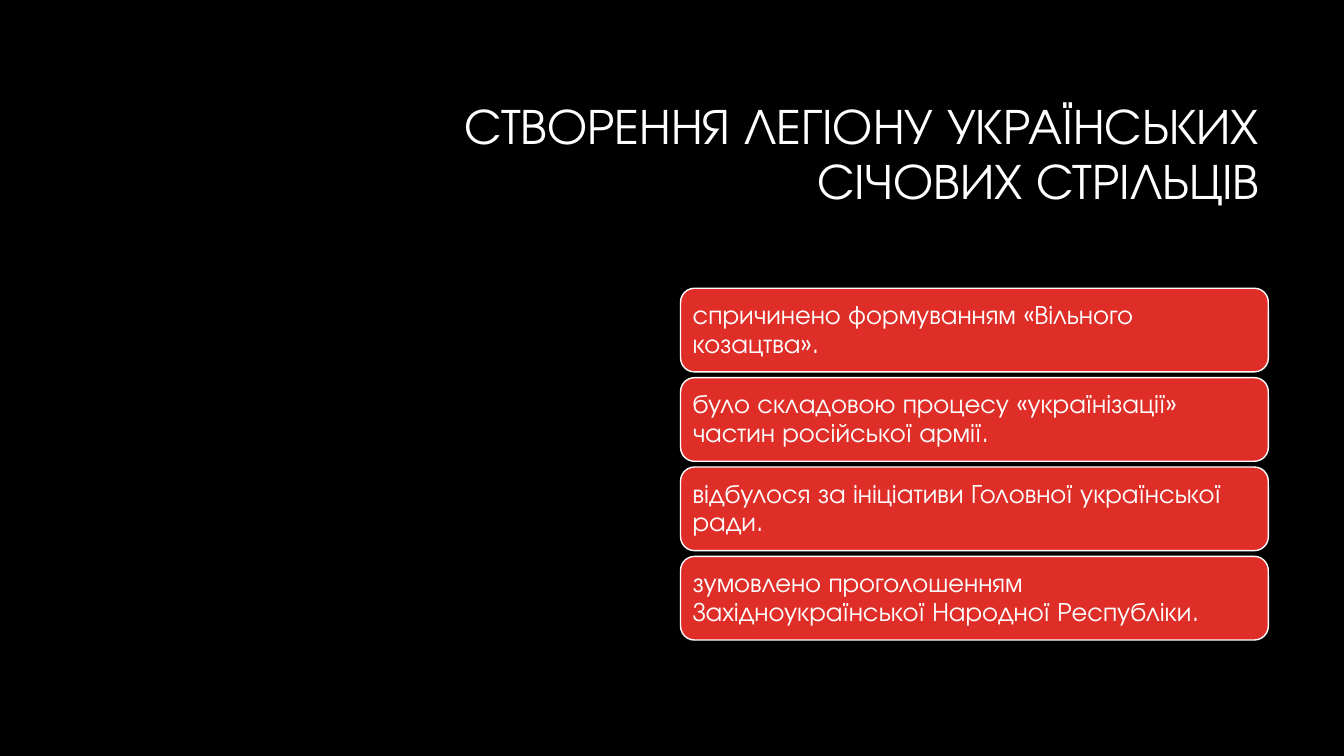
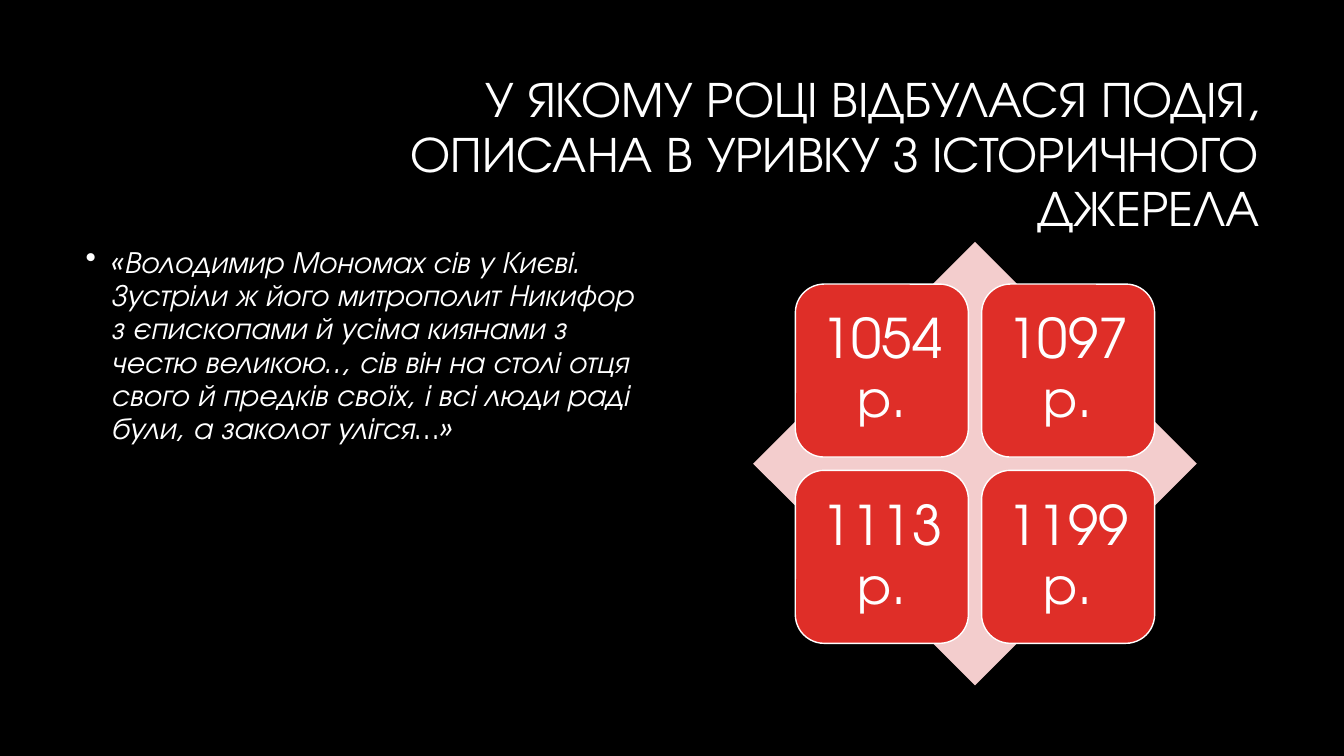
from lxml import etree
from pptx import Presentation
from pptx.dml.color import RGBColor
from pptx.enum import shapes, text
from pptx.oxml import ns
from pptx.util import Inches, Pt

FONT = "TeX Gyre Adventor"
BLACK, WHITE, RED, PINK = "000000", "FFFFFF", "DF2E28", "F3CDCD"
TITLE_BOX = (3.17, 0.84, 9.42, 1.41)
SHAPE = shapes.MSO_SHAPE
ALIGN = text.PP_ALIGN
ANCHOR = text.MSO_ANCHOR


def paint(fmt, color):
    """Give a fill a solid colour."""
    fmt.solid()
    fmt.fore_color.rgb = RGBColor.from_string(color)


def write(sp, content, size, align=ALIGN.LEFT, anchor=ANCHOR.MIDDLE,
          italic=False, inset=None, bullet=False):
    tf = sp.text_frame
    tf.word_wrap = True
    tf.vertical_anchor = anchor
    if inset is not None:
        tf.margin_left = tf.margin_right = Inches(inset)
        tf.margin_top = tf.margin_bottom = Inches(inset)
    p = tf.paragraphs[0]
    p.alignment = align
    p.line_spacing = 0.9
    if bullet:
        pPr = p._p.get_or_add_pPr()
        pPr.set("marL", str(Inches(0.25)))
        pPr.set("indent", str(Inches(-0.25)))
        etree.SubElement(pPr, ns.qn("a:buChar")).set("char", "•")
    r = p.add_run()
    r.text = content
    r.font.name = FONT
    r.font.size = Pt(size)
    r.font.italic = italic
    paint(r.font.fill, WHITE)


def add_text(s, box, content, size, **fmt):
    write(s.shapes.add_textbox(*map(Inches, box)), content, size, **fmt)


def add_shape(s, kind, box, fill, line=None):
    sp = s.shapes.add_shape(kind, *map(Inches, box))
    sp.shadow.inherit = False
    paint(sp.fill, fill)
    if line:
        paint(sp.line.fill, line)
        sp.line.width = Pt(1)
    else:
        sp.line.fill.background()
    return sp


def add_card(s, box, content, size, **fmt):
    write(add_shape(s, SHAPE.ROUNDED_RECTANGLE, box, RED, WHITE), content, size, **fmt)


def add_slide(prs, title):
    s = prs.slides.add_slide(prs.slide_layouts[6])
    paint(s.background.fill, BLACK)
    add_text(s, TITLE_BOX, title, 36, align=ALIGN.RIGHT)
    return s


def answer_list(s, box, answers, card_h=0.83):
    """Stack of full-width cards, spread evenly over the box."""
    x, y, w, h = box
    pitch = (h - card_h) / (len(answers) - 1)
    for i, answer in enumerate(answers):
        add_card(s, (x, y + i * pitch, w, card_h), answer, 19, inset=0.08)


def answer_matrix(s, box, answers):
    """Diamond with a two-by-two grid of square cards."""
    x, y, side, _ = box
    add_shape(s, SHAPE.DIAMOND, box, PINK)
    card, margin = 0.39 * side, 0.095 * side
    pitch = side - 2 * margin - card
    for i, answer in enumerate(answers):
        row, col = divmod(i, 2)
        cell = (x + margin + col * pitch, y + margin + row * pitch, card, card)
        add_card(s, cell, answer, 39, align=ALIGN.CENTER, inset=0.16)


def main():
    prs = Presentation()
    prs.slide_width, prs.slide_height = Inches(13.33), Inches(7.5)

    # Slide 1: list of answers
    s = add_slide(prs, "СТВОРЕННЯ ЛЕГІОНУ УКРАЇНСЬКИХ СІЧОВИХ СТРІЛЬЦІВ")
    answer_list(s, (6.75, 2.86, 5.83, 3.49), [
        "спричинено формуванням «Вільного козацтва».",
        "було складовою процесу «українізації» частин російської армії.",
        "відбулося за ініціативи Головної української ради.",
        "зумовлено проголошенням Західноукраїнської Народної Республіки.",
    ])

    # Slide 2: quotation and years
    s = add_slide(prs, "У ЯКОМУ РОЦІ ВІДБУЛАСЯ ПОДІЯ, ОПИСАНА В УРИВКУ З ІСТОРИЧНОГО ДЖЕРЕЛА")
    add_text(s, (0.75, 2.4, 5.83, 4.4),
             "«Володимир Мономах сів у Києві. Зустріли ж його митрополит Никифор "
             "з єпископами й усіма киянами з честю великою.., сів він на столі отця "
             "свого й предків своїх, і всі люди раді були, а заколот улігся…»",
             22, anchor=ANCHOR.TOP, italic=True, bullet=True)
    answer_matrix(s, (7.47, 2.4, 4.4, 4.4), ["1054 р.", "1097 р.", "1113 р.", "1199 р."])

    prs.save("out.pptx")


if __name__ == "__main__":
    main()
